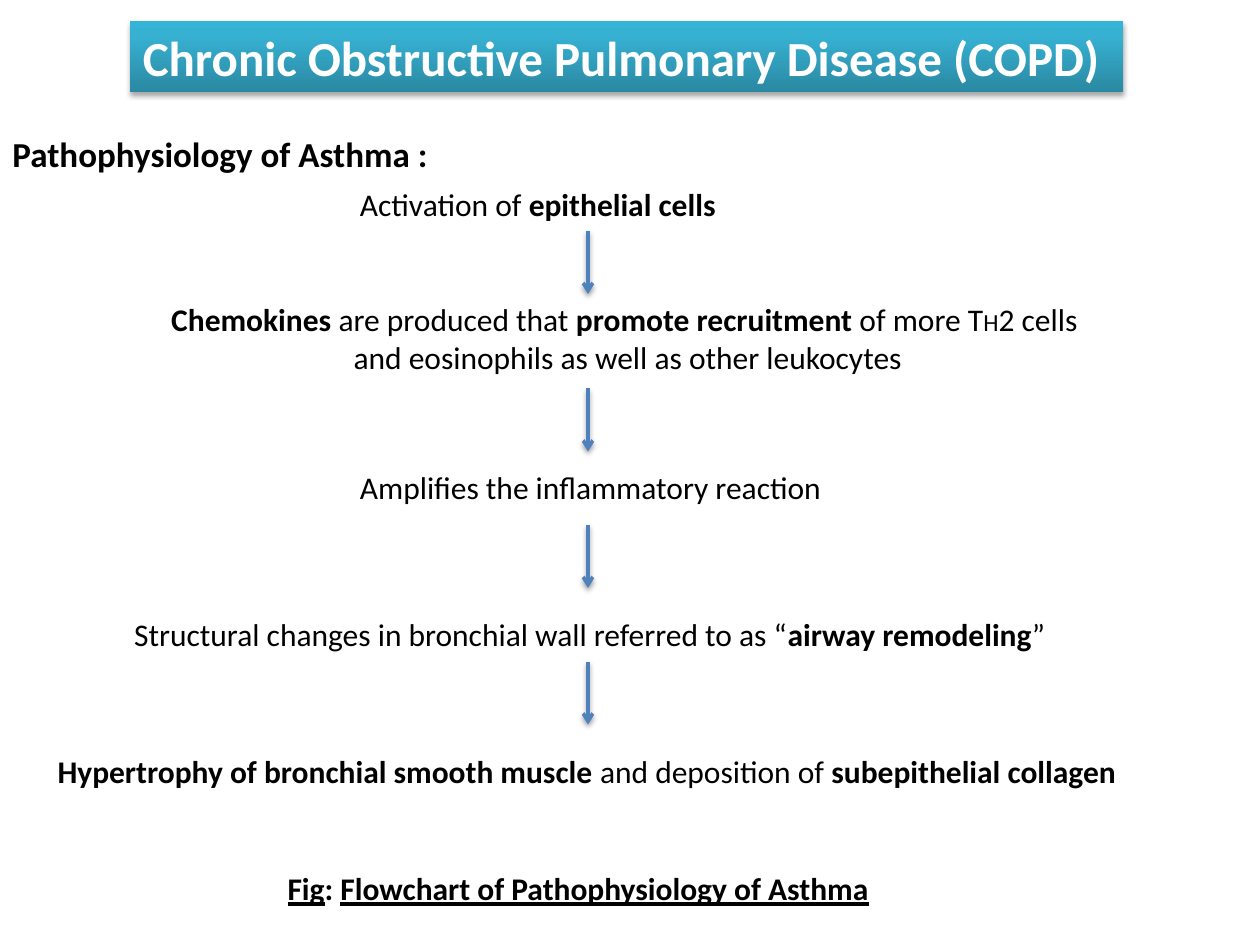
import pptx
import pptx.dml.color
import pptx.enum.shapes
import pptx.enum.text
import pptx.oxml
import pptx.oxml.ns
import pptx.util

COLORS = {"text": "000000", "title": "FFFFFF", "arrow": "4F81BD", "shadow": "000000",
          "dark": "2A88A2", "mid": "37B1D2", "light": "34B4D6"}
COLS, ROWS = 120, 90
NS = pptx.oxml.ns.nsdecls("a")


def rgb(name):
    return pptx.dml.color.RGBColor.from_string(COLORS[name])


class FlowSlide:
    """Slide on a grid of 120 columns by 90 rows, with one text style."""

    def __init__(self, prs, font="Calibri", size=18):
        self.prs, self.font, self.size = prs, font, size
        self.s = prs.slides.add_slide(prs.slide_layouts[5])

    def x(self, cols):
        return round(self.prs.slide_width * cols / COLS)

    def y(self, rows):
        return round(self.prs.slide_height * rows / ROWS)

    def shadow(self, sp, alpha, dist):
        sp._element.spPr.append(pptx.oxml.parse_xml(
            f'<a:effectLst {NS}><a:outerShdw blurRad="{pptx.util.Pt(3.1)}" '
            f'dist="{pptx.util.Pt(dist)}" dir="5400000" rotWithShape="0">'
            f'<a:srgbClr val="{COLORS["shadow"]}"><a:alpha val="{alpha * 1000}"/>'
            '</a:srgbClr></a:outerShdw></a:effectLst>'))

    def fill_text(self, sp, lines, size, color, align):
        """Each line is a list of (text, marks) runs: b bold, u underline, s small."""
        tf = sp.text_frame
        tf.word_wrap = False
        tf.auto_size = pptx.enum.text.MSO_AUTO_SIZE.NONE
        for i, line in enumerate(lines):
            p = tf.add_paragraph() if i else tf.paragraphs[0]
            p.alignment = align
            for text, marks in line:
                r = p.add_run()
                r.text = text
                r.font.name = self.font
                r.font.size = pptx.util.Pt(14 if "s" in marks else size)
                r.font.bold = "b" in marks
                r.font.underline = "u" in marks
                r.font.color.rgb = rgb(color)

    def title(self, left, top, width, height, text):
        sp = self.s.shapes.title
        sp.left, sp.top = self.x(left), self.y(top)
        sp.width, sp.height = self.x(width), self.y(height)
        stops = "".join(f'<a:gs pos="{pos * 1000}"><a:srgbClr val="{COLORS[c]}"/></a:gs>'
                        for pos, c in ((0, "dark"), (80, "mid"), (100, "light")))
        sp._element.spPr.append(pptx.oxml.parse_xml(
            f'<a:gradFill {NS} rotWithShape="1"><a:gsLst>{stops}</a:gsLst>'
            '<a:lin ang="16200000" scaled="0"/></a:gradFill>'))
        self.shadow(sp, 35, 1.8)
        self.fill_text(sp, [[(text, "b")]], 28, "title", pptx.enum.text.PP_ALIGN.LEFT)

    def text(self, left, top, width, lines, size=None, height=4.8, centre=False):
        sp = self.s.shapes.add_textbox(self.x(left), self.y(top),
                                       self.x(width), self.y(height))
        align = pptx.enum.text.PP_ALIGN.CENTER if centre else pptx.enum.text.PP_ALIGN.LEFT
        self.fill_text(sp, lines, size or self.size, "text", align)

    def arrow(self, col, top, length=6):
        line = self.s.shapes.add_connector(
            pptx.enum.shapes.MSO_CONNECTOR.STRAIGHT,
            self.x(col), self.y(top), self.x(col), self.y(top + length))
        line.line.color.rgb = rgb("arrow")
        line.line.width = pptx.util.Pt(2)
        line.line._get_or_add_ln().append(
            pptx.oxml.parse_xml(f'<a:tailEnd {NS} type="arrow"/>'))
        self.shadow(line, 38, 1.6)


def main():
    prs = pptx.Presentation()
    prs.slide_width, prs.slide_height = pptx.util.Inches(10), pptx.util.Inches(7.5)
    slide = FlowSlide(prs)

    # Title and heading
    slide.title(12.4, 2, 94.6, 6.8, "Chronic Obstructive Pulmonary Disease (COPD)")
    slide.text(0, 12, 43.1, [[("Pathophysiology of Asthma :", "b")]], size=20, height=5.3)

    # Steps of the flowchart
    slide.text(33.1, 17, 36.6, [[("Activation of ", ""), ("epithelial cells", "b")]])
    slide.text(15, 28, 89.6, [
        [("Chemokines", "b"), (" are produced that ", ""), ("promote recruitment ", "b"),
         ("of more T", ""), ("H", "s"), ("2 cells ", "")],
        [("and eosinophils as well as other leukocytes", "")],
    ], height=8.5, centre=True)
    slide.text(33.1, 44, 46.9, [[("Amplifies the inflammatory reaction", "")]])
    slide.text(11.6, 58, 89.4, [
        [("Structural changes in bronchial wall referred to as “", ""),
         ("airway remodeling", "b"), ("”", "")]])
    slide.text(4.3, 71, 104, [
        [("Hypertrophy of bronchial smooth muscle ", "b"), ("and deposition of ", ""),
         ("subepithelial collagen", "b")]])

    # Arrows between the steps
    for top in (22, 37, 50, 63):
        slide.arrow(56, top)

    # Caption
    slide.text(26.2, 82.2, 58.2, [
        [("Fig", "bu"), (": ", "b"), ("Flowchart of Pathophysiology of Asthma", "bu")]])

    prs.save("out.pptx")


if __name__ == "__main__":
    main()
